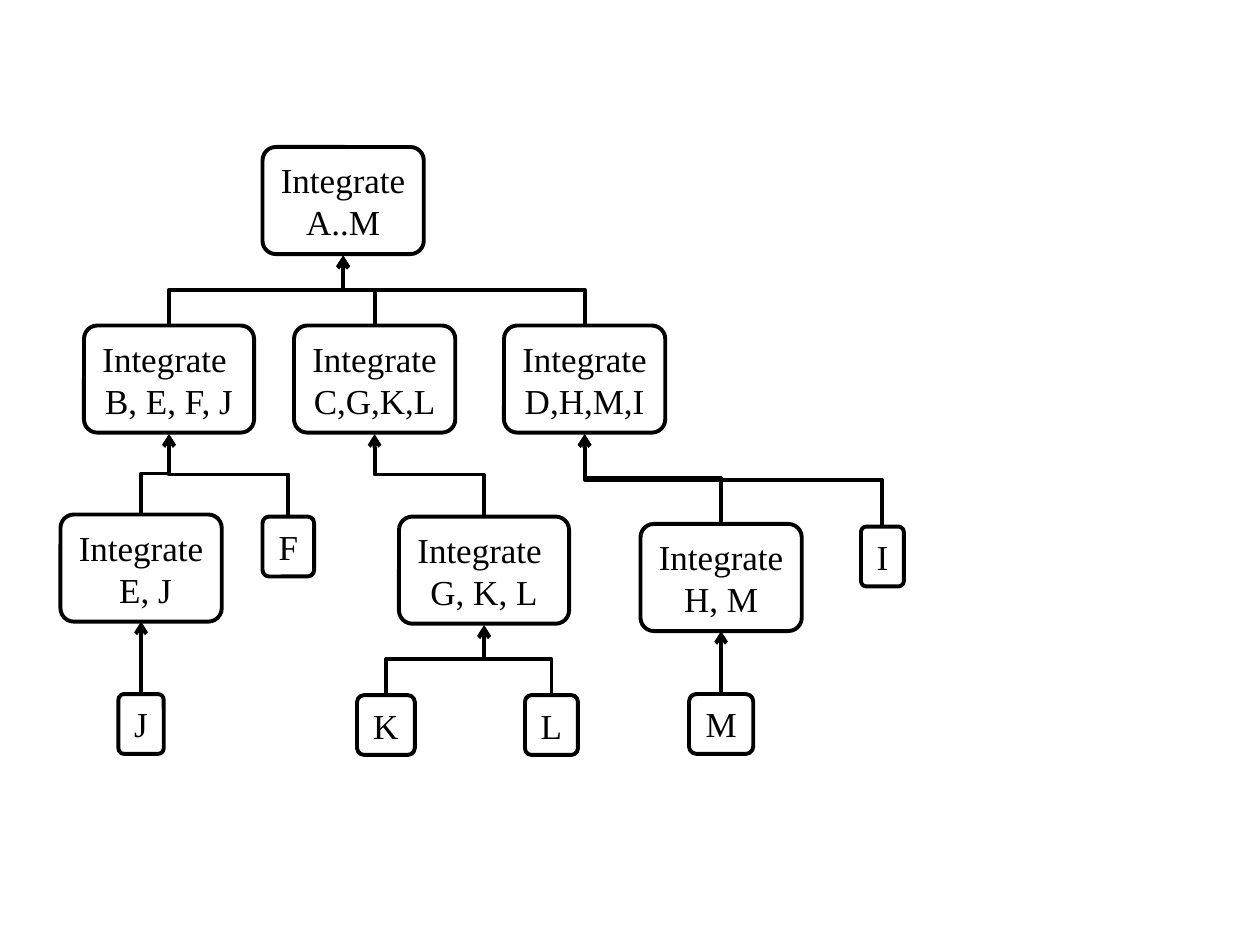
from dataclasses import dataclass

from lxml import etree
from pptx import Presentation
from pptx.dml.color import RGBColor
from pptx.enum.shapes import MSO_CONNECTOR as CXN, MSO_SHAPE as SHAPE
from pptx.enum.text import MSO_ANCHOR as ANCHOR, MSO_AUTO_SIZE as FIT, PP_ALIGN as ALIGN
from pptx.oxml.ns import qn
from pptx.util import Inches, Pt


@dataclass(frozen=True)
class Theme:
    ink: RGBColor = RGBColor(0, 0, 0)
    paper: RGBColor = RGBColor(255, 255, 255)
    font: str = "Times New Roman"
    size: Pt = Pt(20)
    line: Pt = Pt(2.25)
    corner: float = 0.125


THEME = Theme()
CELL = Inches(10) // 120  # the slide is 120 columns by 90 rows
GAP = 0.15                # rows between a box and an elbow's end
WIDE, WIDER, TALL, LOW = 15.36, 16.2, 10.2, 5.7

# name: (lines, centre column, top row, width, height, filled)
BOXES = {
    "A-M": (["Integrate", "A..M"], 32.68, 14, WIDE, TALL, False),
    "B": (["Integrate ", "B, E, F, J"], 16.1, 31, WIDER, TALL, False),
    "C": (["Integrate", "C,G,K,L"], 35.68, 31, WIDE, TALL, True),
    "D": (["Integrate", "D,H,M,I"], 55.68, 31, WIDE, TALL, False),
    "E": (["Integrate", " E, J"], 13.44, 49, WIDE, TALL, False),
    "F": (["F"], 27.46, 49.2, 4.92, LOW, False),
    "G": (["Integrate ", "G, K, L"], 46.1, 49.2, WIDER, TALL, True),
    "H": (["Integrate", "H, M"], 68.68, 49.9, WIDE, TALL, False),
    "I": (["I"], 84.04, 50.15, 4.08, LOW, False),
    "J": (["J"], 13.44, 66.1, 4.32, LOW, False),
    "K": (["K"], 36.76, 66.2, 5.52, LOW, False),
    "L": (["L"], 52.52, 66.2, 5.04, LOW, False),
    "M": (["M"], 68.68, 66.1, 6.12, LOW, False),
}

# parent: the boxes that are integrated into it
TREE = {"A-M": "BCD", "B": "EF", "C": "G", "D": "HI", "E": "J", "G": "KL", "H": "M"}


def grid(*cells):
    return [round(c * CELL) for c in cells]


def add_box(slide, lines, centre, top, width, height, filled):
    s = slide.shapes.add_shape(
        SHAPE.ROUNDED_RECTANGLE, *grid(centre - width / 2, top, width, height))
    s.adjustments[0] = THEME.corner
    s.shadow.inherit = False
    if filled:
        s.fill.solid()
        s.fill.fore_color.rgb = THEME.paper
    else:
        s.fill.background()
    s.line.color.rgb = THEME.ink
    s.line.width = THEME.line

    tf = s.text_frame
    tf.word_wrap = False
    tf.auto_size = FIT.SHAPE_TO_FIT_TEXT
    tf.vertical_anchor = ANCHOR.MIDDLE
    p = tf.paragraphs[0]
    p.alignment = ALIGN.CENTER
    for i, line in enumerate(lines):
        if i:
            p.add_line_break()
        r = p.add_run()
        r.text = line
        r.font.name = THEME.font
        r.font.size = THEME.size
        r.font.color.rgb = THEME.ink
    return s


def style_arrow(cxn):
    """Draw the line with its arrowhead at the parent's end."""
    cxn.line.color.rgb = THEME.ink
    cxn.line.width = THEME.line
    sp_pr = cxn._element.spPr
    etree.SubElement(sp_pr.find(qn("a:ln")), qn("a:headEnd"), type="arrow")
    etree.SubElement(sp_pr, qn("a:effectLst"))


def add_straight(slide, parent, child):
    cxn = slide.shapes.add_connector(CXN.STRAIGHT, 0, 0, 0, 0)
    cxn.begin_connect(parent, 2)
    cxn.end_connect(child, 0)
    style_arrow(cxn)


def add_elbow(slide, x1, y1, x2, y2):
    """Go down, across and down: a level elbow turned by a quarter."""
    mid_x, mid_y = (x1 + x2) / 2, (y1 + y2) / 2
    half_w, half_h = (y2 - y1) / 2, abs(x2 - x1) / 2
    rightward = x2 > x1
    if rightward:
        half_w = -half_w  # mirrors the elbow
    cxn = slide.shapes.add_connector(
        CXN.ELBOW, *grid(mid_x - half_w, mid_y - half_h, mid_x + half_w, mid_y + half_h))
    turn = 270 if rightward else 90
    cxn._element.spPr.find(qn("a:xfrm")).set("rot", str(turn * 60000))
    style_arrow(cxn)


def main():
    prs = Presentation()
    prs.slide_width, prs.slide_height = Inches(10), Inches(7.5)
    slide = prs.slides.add_slide(prs.slide_layouts[6])

    # Boxes
    shapes = {name: add_box(slide, *box) for name, box in BOXES.items()}

    # Arrows from the parts up to their parent
    for parent, children in TREE.items():
        _, x1, top, _, height, _ = BOXES[parent]
        for child in children:
            _, x2, y2, *_ = BOXES[child]
            if x1 == x2:
                add_straight(slide, shapes[parent], shapes[child])
            else:
                add_elbow(slide, x1, top + height + GAP, x2, y2 - GAP)

    prs.save("out.pptx")


if __name__ == "__main__":
    main()
